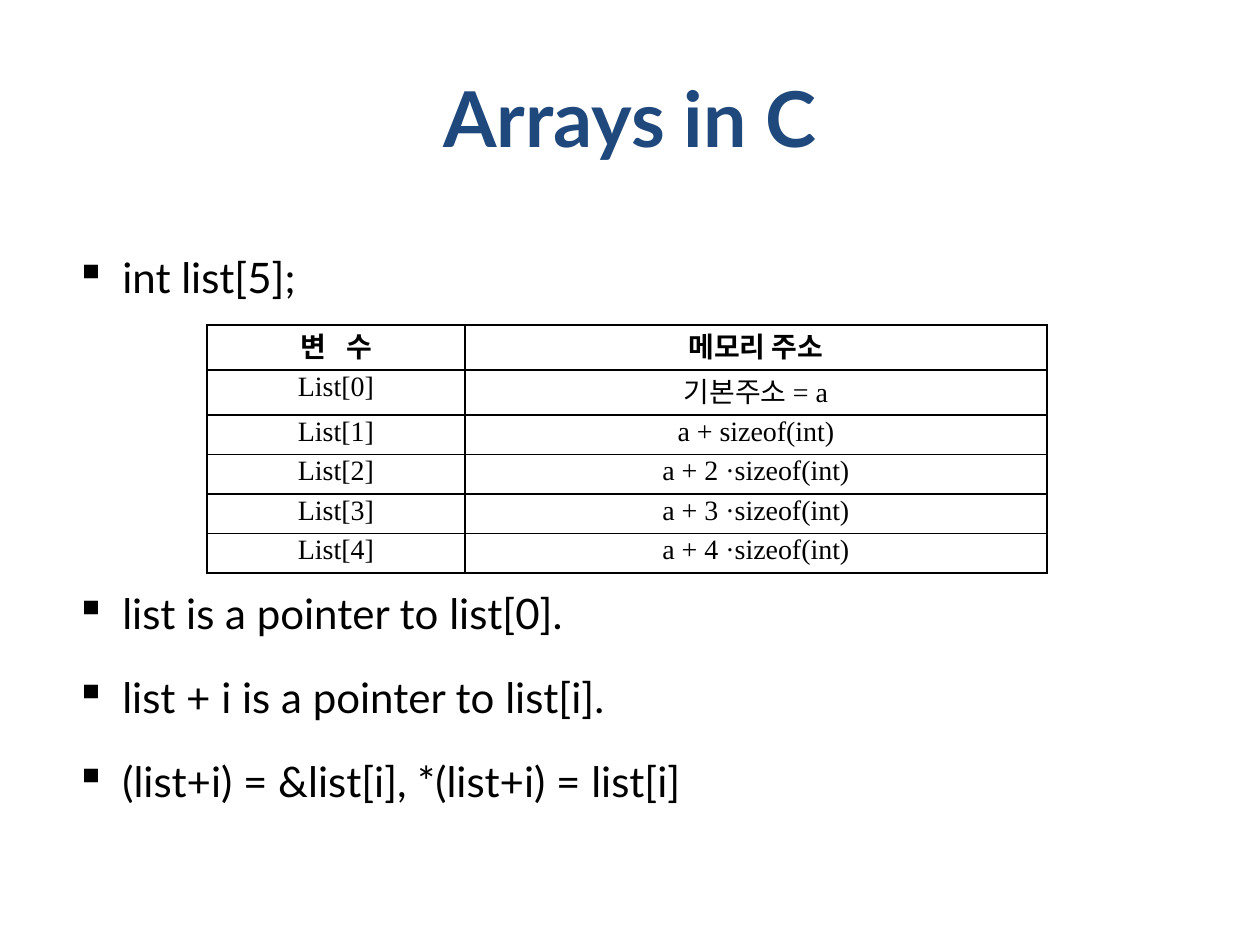
from lxml import etree
from pptx import Presentation
from pptx import util as u
from pptx.dml.color import RGBColor
from pptx.enum import text
from pptx.oxml.ns import qn

EMU_PER_PX = 914400 / 126
NAVY = RGBColor(0x1F, 0x49, 0x7D)
BLACK = RGBColor(0, 0, 0)
BODY_FONT = "Lato"
TABLE_FONT = "Times New Roman"

LINE_GAP = 4.8
TABLE_GAP = 148.8
BULLETS = [
    ("int list[5];", 0),
    ("list is a pointer to list[0].", TABLE_GAP),
    ("list + i is a pointer to list[i].", LINE_GAP),
    ("(list+i) = &list[i], *(list+i) = list[i]", LINE_GAP),
]
HEADINGS = (("변", " ", "수"), ("메모리 주소",))
ADDRESSES = ["기본주소 = a", "a + sizeof(int)"] + [
    f"a + {index} ·sizeof(int)" for index in range(2, 5)
]
COLUMN_WIDTHS = (258, 582)
ROW_HEIGHTS = (45, 45, 37, 37, 37, 37)


def px(length):
    return u.Emu(round(length * EMU_PER_PX))


def add_span(para, words, font, size, color, bold=False):
    span = para.add_run()
    span.text = words
    span.font.name = font
    span.font.size = u.Pt(size)
    span.font.bold = bold
    span.font.color.rgb = color
    return span


def set_title(page, words):
    title = page.shapes.title
    title.left, title.top, title.width, title.height = map(px, (63, 38, 1134, 157))
    frame = title.text_frame
    frame.vertical_anchor = text.MSO_ANCHOR.MIDDLE
    para = frame.paragraphs[0]
    para.alignment = text.PP_ALIGN.CENTER
    add_span(para, words, BODY_FONT, 44, NAVY, bold=True)


def set_bullet(para, indent):
    properties = para._p.get_or_add_pPr()
    properties.set("marL", str(px(indent)))
    properties.set("indent", str(-px(indent)))
    etree.SubElement(properties, qn("a:buChar")).set("char", "▪")


def add_bullets(page):
    box = page.shapes.add_textbox(*map(px, (63, 220, 1134, 624)))
    frame = box.text_frame
    frame.word_wrap = True
    for index, (words, gap) in enumerate(BULLETS):
        para = frame.add_paragraph() if index else frame.paragraphs[0]
        set_bullet(para, 47)
        para.line_spacing = 1.5
        para.space_before = u.Pt(gap)
        add_span(para, words, BODY_FONT, 24, BLACK)


def set_borders(cell):
    properties = cell._tc.get_or_add_tcPr()
    for side in ("lnL", "lnR", "lnT", "lnB"):
        line = etree.SubElement(properties, qn(f"a:{side}"), w=str(u.Pt(1)))
        fill = etree.SubElement(line, qn("a:solidFill"))
        etree.SubElement(fill, qn("a:srgbClr"), val=str(BLACK))


def fill_cell(cell, pieces, bold):
    set_borders(cell)
    cell.fill.background()
    para = cell.text_frame.paragraphs[0]
    para.alignment = text.PP_ALIGN.CENTER
    para.line_spacing = 0.8
    for words in pieces:
        span = add_span(para, words, TABLE_FONT, 16, BLACK, bold)
        if words == " ":
            # Letter spacing widens the gap inside the heading.
            span.font._element.set("spc", "800")


def add_address_table(page):
    rows = [HEADINGS] + [
        ((f"List[{index}]",), (address,)) for index, address in enumerate(ADDRESSES)
    ]
    frame = page.shapes.add_table(
        len(rows), len(COLUMN_WIDTHS), px(207), px(325),
        px(sum(COLUMN_WIDTHS)), px(sum(ROW_HEIGHTS)))
    table = frame.table
    table.horz_banding = False
    for column, width in zip(table.columns, COLUMN_WIDTHS):
        column.width = px(width)
    for row, height, contents in zip(table.rows, ROW_HEIGHTS, rows):
        row.height = px(height)
        for cell, pieces in zip(row.cells, contents):
            fill_cell(cell, pieces, bold=contents is HEADINGS)


def main():
    deck = Presentation()
    deck.slide_width, deck.slide_height = px(1260), px(945)
    page = deck.slides.add_slide(deck.slide_layouts[5])
    set_title(page, "Arrays in C")
    add_bullets(page)
    add_address_table(page)
    deck.save("out.pptx")


if __name__ == "__main__":
    main()
